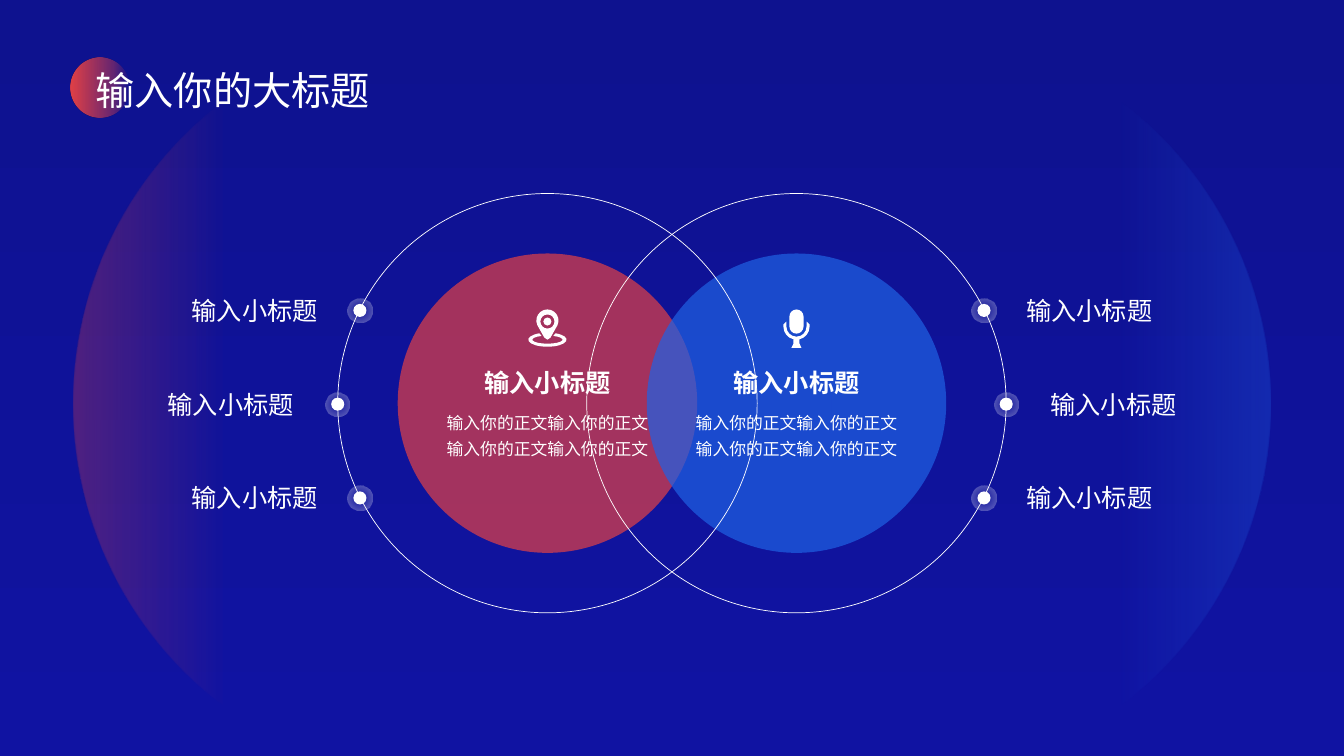
from math import ceil, cos, radians, sin, tan

from lxml.etree import SubElement
from pptx import Presentation
from pptx.dml.color import RGBColor
from pptx.enum.shapes import MSO_SHAPE as Preset
from pptx.enum.text import MSO_ANCHOR as Anchor, MSO_AUTO_SIZE as AutoSize, PP_ALIGN as Align
from pptx.oxml.ns import qn
from pptx.util import Inches, Pt

WIDTH, HEIGHT = 13.33, 7.5
RED, BLUE, WHITE = "E34146", "1F62E4", "FFFFFF"


def color(hex_code):
    return RGBColor.from_string(hex_code)


def set_alpha(clr, percent):
    SubElement(clr, qn("a:alpha"), val=str(percent * 1000))


def line(*points):
    return [(point,) for point in points]


def arc(cx, cy, rx, ry, start, end):
    """A start point, then Bezier steps of three points; angles run clockwise."""
    count = ceil(abs(end - start) / 90)
    turn = radians(end - start) / count
    pull = 4 / 3 * tan(turn / 4)
    steps = line((cx + rx * cos(radians(start)), cy + ry * sin(radians(start))))
    for i in range(count):
        a = radians(start) + i * turn
        b = a + turn
        unit = ((cos(a) - pull * sin(a), sin(a) + pull * cos(a)),
                (cos(b) + pull * sin(b), sin(b) - pull * cos(b)), (cos(b), sin(b)))
        steps.append(tuple((cx + rx * x, cy + ry * y) for x, y in unit))
    return steps


class Deck:
    font = "Noto Sans CJK SC"

    def __init__(self):
        self.prs = Presentation()
        self.prs.slide_width, self.prs.slide_height = Inches(WIDTH), Inches(HEIGHT)
        self.slide = self.prs.slides.add_slide(self.prs.slide_layouts[6])
        self.shapes = self.slide.shapes

    def gradient(self, fill, holder, stops, angle=0, radial=False):
        """Swap the solid fill in holder for stops of (position, colour, opacity)."""
        fill.solid()
        solid = holder.find(qn("a:solidFill"))
        grad = holder.makeelement(qn("a:gradFill"), {"rotWithShape": "1"})
        holder.replace(solid, grad)
        stop_list = SubElement(grad, qn("a:gsLst"))
        for position, hex_code, opacity in stops:
            stop = SubElement(stop_list, qn("a:gs"), pos=str(position * 1000))
            clr = SubElement(stop, qn("a:srgbClr"), val=hex_code)
            if opacity < 100:
                set_alpha(clr, opacity)
        if radial:
            path = SubElement(grad, qn("a:path"), {"path": "circle"})
            SubElement(path, qn("a:fillToRect"), dict.fromkeys("ltrb", "50000"))
        else:
            SubElement(grad, qn("a:lin"), ang=str(angle * 60000), scaled="0")

    def background(self, top, bottom):
        fill = self.slide.background.fill
        fill.solid()
        holder = self.slide.element.find(".//" + qn("p:bgPr"))
        self.gradient(fill, holder, [(0, top, 100), (100, bottom, 100)], angle=90)

    def circle(self, cx, cy, size, fill=None, opacity=100, stops=None,
               radial=False, outline=None, flip=False, group=None):
        shapes = group.shapes if group else self.shapes
        oval = shapes.add_shape(Preset.OVAL, Inches(cx - size / 2), Inches(cy - size / 2),
                                Inches(size), Inches(size))
        oval.shadow.inherit = False
        properties = oval.element.spPr
        if stops:
            self.gradient(oval.fill, properties, stops, radial=radial)
        elif fill:
            oval.fill.solid()
            oval.fill.fore_color.rgb = color(fill)
            if opacity < 100:
                set_alpha(properties.find(qn("a:solidFill"))[0], opacity)
        else:
            oval.fill.background()
        if outline:
            oval.line.color.rgb = color(outline)
            oval.line.width = Pt(0.5)
        else:
            oval.line.fill.background()
        if flip:
            properties.find(qn("a:xfrm")).set("flipH", "1")

    def dot(self, cx, cy):
        group = self.shapes.add_group_shape()
        self.circle(cx, cy, 0.24, stops=[(0, WHITE, 0), (100, WHITE, 40)],
                    radial=True, group=group)
        self.circle(cx, cy, 0.13, fill=WHITE, group=group)

    def text(self, left, top, width, height, lines, size, align=Align.LEFT,
             bold=False, spacing=None, anchor=Anchor.TOP):
        box = self.shapes.add_textbox(Inches(left), Inches(top), Inches(width), Inches(height))
        frame = box.text_frame
        frame.word_wrap = True
        frame.auto_size = AutoSize.SHAPE_TO_FIT_TEXT
        frame.vertical_anchor = anchor
        frame.text = "\n".join(lines)
        for paragraph in frame.paragraphs:
            paragraph.alignment = align
            if spacing:
                paragraph.line_spacing = spacing
            font = paragraph.font
            font.size, font.bold, font.name = Pt(size), bold, self.font
            font.color.rgb = color(WHITE)
            defaults = paragraph._p.pPr.find(qn("a:defRPr"))
            SubElement(defaults, qn("a:ea"), typeface=self.font)

    def icon(self, *outlines):
        """Draw closed outlines whose three-point steps become Bezier curves."""
        emu = [[[(Inches(x), Inches(y)) for x, y in step] for step in steps]
               for steps in outlines]
        builder = self.shapes.build_freeform(*emu[0][0][0])
        for i, steps in enumerate(emu):
            if i:
                builder.move_to(*steps[0][0])
            builder.add_line_segments([p for step in steps[1:] for p in step], close=True)
        shape = builder.convert_to_shape()
        segments = iter(list(shape.element.iter(qn("a:lnTo"))))
        for step in (step for steps in outlines for step in steps[1:]):
            parts = [next(segments) for _ in step]
            if len(parts) == 3:
                curve = parts[0].makeelement(qn("a:cubicBezTo"), {})
                parts[0].addprevious(curve)
                for part in parts:
                    curve.append(part[0])
                    part.getparent().remove(part)
        shape.shadow.inherit = False
        shape.fill.solid()
        shape.fill.fore_color.rgb = color(WHITE)
        shape.line.fill.background()


def main():
    deck = Deck()
    deck.background("0E128F", "1013A2")

    # Faded outer glows
    for center, glow, flip in ((4.49, RED, False), (8.84, BLUE, True)):
        deck.circle(center, 4, 7.52, stops=[(0, glow, 30), (20, glow, 0)], flip=flip)

    # Title
    deck.circle(0.99, 0.87, 0.59, stops=[(0, RED, 100), (73, RED, 40), (100, RED, 0)])
    deck.text(0.85, 0.61, 4.09, 0.57, ["输入你的大标题"], 28, anchor=Anchor.MIDDLE)

    # Overlapping discs and their orbits
    pin_x, mic_x = centers = (5.43, 7.9)
    for center, disc in zip(centers, (RED, BLUE)):
        deck.circle(center, 4, 2.97, fill=disc, opacity=70)
    for center in centers:
        deck.circle(center, 4, 4.16, outline=WHITE, flip=center == mic_x)

    # Disc captions
    for center in centers:
        deck.text(center - 1.06, 3.59, 2.12, 0.4, ["输入小标题"], 18, Align.CENTER, bold=True)
        deck.text(center - 1.21, 4, 2.42, 0.59, ["输入你的正文输入你的正文"] * 2, 12,
                  Align.CENTER, spacing=1.25)

    # Map pin: ring, head with tip, eye
    deck.icon(
        arc(pin_x, 3.37, 0.19, 0.07, -65, 245) + arc(pin_x, 3.37, 0.15, 0.04, 247, -67),
        arc(pin_x, 3.18, 0.11, 0.11, 155, 385) + line((pin_x + 0.03, 3.35), (pin_x, 3.37),
                                                      (pin_x - 0.03, 3.35)),
        arc(pin_x, 3.19, 0.07, 0.07, 0, 360),
        arc(pin_x, 3.19, 0.04, 0.04, 0, 360),
    )

    # Microphone: holder with stand, then capsule
    deck.icon(
        arc(mic_x, 3.24, 0.13, 0.13, 180, 103)
        + line((mic_x - 0.03, 3.41), (mic_x - 0.05, 3.45), (mic_x + 0.05, 3.45),
               (mic_x + 0.03, 3.41))
        + arc(mic_x, 3.24, 0.13, 0.13, 77, 0) + line((mic_x + 0.13, 3.22), (mic_x + 0.1, 3.19))
        + arc(mic_x, 3.24, 0.1, 0.1, 0, 180) + line((mic_x - 0.1, 3.19), (mic_x - 0.13, 3.22)),
        arc(mic_x, 3.14, 0.07, 0.07, 180, 360) + arc(mic_x, 3.24, 0.07, 0.07, 0, 180),
    )

    # Orbit dots with labels, mirrored left and right
    label_width = 2.12
    for row, (dot_x, label_x) in enumerate(((3.57, 1.13), (3.35, 0.89), (3.57, 1.13))):
        sides = ((dot_x, label_x, Align.RIGHT),
                 (WIDTH - dot_x, WIDTH - label_x - label_width, Align.LEFT))
        for x, label_left, align in sides:
            deck.dot(x, 3.08 + row * 0.93)
            deck.text(label_left, 2.88 + row * 0.93, label_width, 0.4, ["输入小标题"], 18, align)

    deck.prs.save("out.pptx")


if __name__ == "__main__":
    main()
